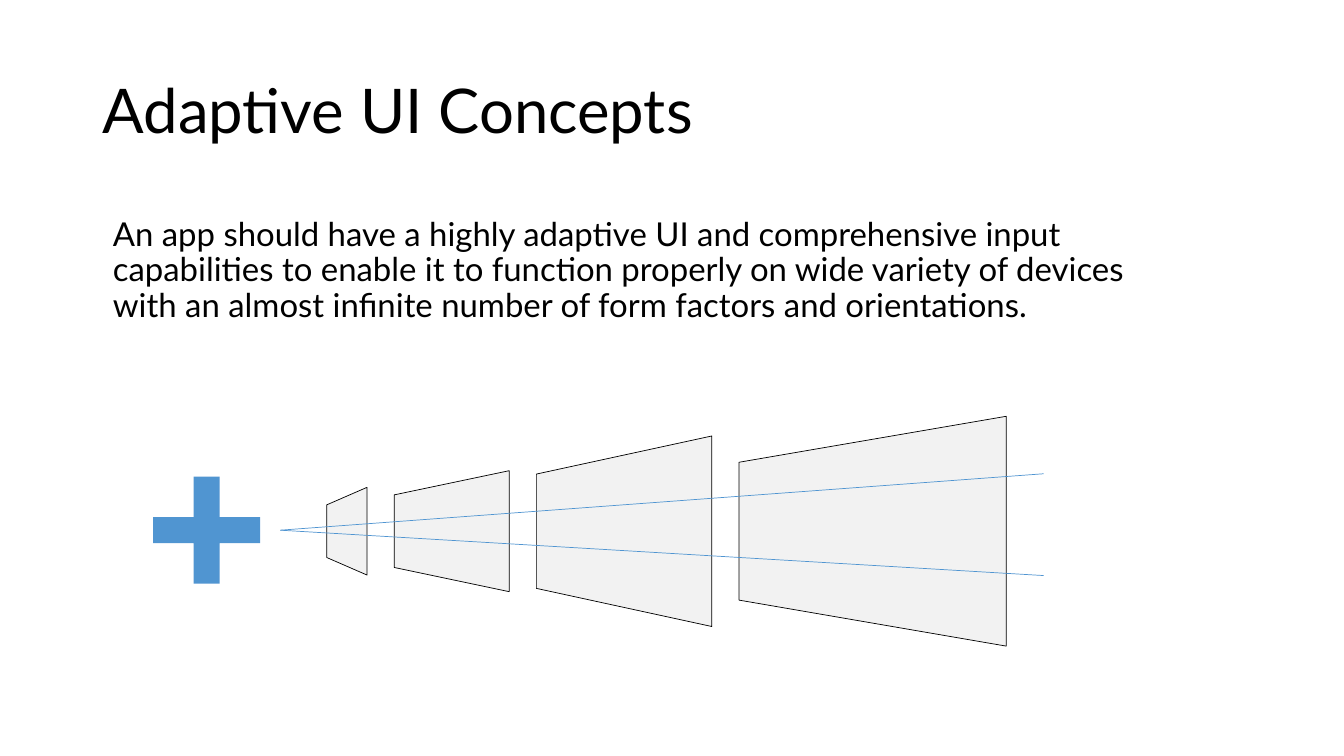
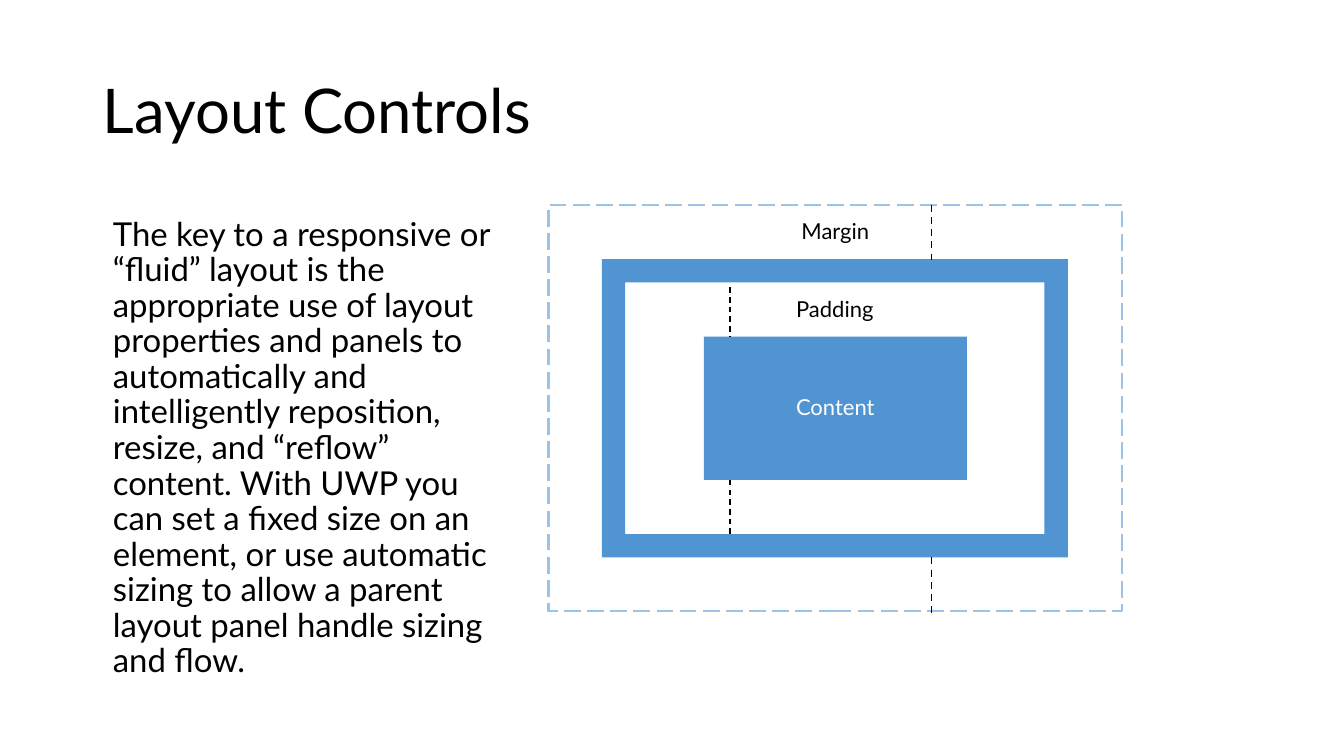
"""Builds two slides on adaptive user interfaces and layout controls."""
from lxml import etree
from pptx import Presentation
from pptx.dml.color import RGBColor
from pptx.enum.dml import MSO_LINE
from pptx.enum.shapes import MSO_CONNECTOR, MSO_SHAPE
from pptx.enum.text import MSO_ANCHOR, PP_ALIGN
from pptx.oxml.ns import qn
from pptx.util import Pt

BLACK = RGBColor(0x00, 0x00, 0x00)
WHITE = RGBColor(0xFF, 0xFF, 0xFF)
BLUE = RGBColor(0x50, 0x95, 0xD1)
PALE_BLUE = RGBColor(0x9C, 0xC3, 0xE5)
GREY = RGBColor(0xF2, 0xF2, 0xF2)
RECT, PLUS, FRAME = MSO_SHAPE.RECTANGLE, MSO_SHAPE.CROSS, MSO_SHAPE.FRAME
TRAPEZOID = MSO_SHAPE.FLOWCHART_MANUAL_OPERATION
STRAIGHT = MSO_CONNECTOR.STRAIGHT
DASH, LONG_DASH = MSO_LINE.DASH, MSO_LINE.LONG_DASH
TOP, MIDDLE = MSO_ANCHOR.TOP, MSO_ANCHOR.MIDDLE
LEFT, CENTER = PP_ALIGN.LEFT, PP_ALIGN.CENTER

FONT = "Lato"
TITLE_SIZE, BODY_SIZE, LABEL_SIZE = 44, 23.5, 15.7
TITLE_INSET, TEXT_INSET = (10, 5), (20, 16)
EMU_PER_PX = 9144


def px(*values):
    return [round(v * EMU_PER_PX) for v in values]


class Deck:
    """Holds the shared style and the slide being drawn."""

    def __init__(self):
        self.prs = Presentation()
        self.prs.slide_width, self.prs.slide_height = px(1333, 750)
        self.s = None

    def slide(self, title, body, body_width):
        self.s = self.prs.slides.add_slide(self.prs.slide_layouts[6])
        self.text(title, (92, 40, 1150, 145), TITLE_SIZE, TITLE_INSET, MIDDLE)
        self.text(body, (92, 200, body_width, 515), BODY_SIZE, TEXT_INSET, TOP)

    def set_text(self, sp, text, size, color, inset, anchor, align):
        tf = sp.text_frame
        tf.word_wrap = True
        tf.vertical_anchor = anchor
        tf.margin_left, tf.margin_top = px(*inset)
        tf.margin_right, tf.margin_bottom = px(*inset)
        p = tf.paragraphs[0]
        p.alignment = align
        p.line_spacing = 0.9
        r = p.add_run()
        r.text = text
        r.font.name = FONT
        r.font.size = Pt(size)
        r.font.color.rgb = color

    def text(self, text, box, size, inset, anchor):
        sp = self.s.shapes.add_textbox(*px(*box))
        self.set_text(sp, text, size, BLACK, inset, anchor, LEFT)

    def stroke(self, line, color, width, dash):
        line.color.rgb = color
        line.width = Pt(width)
        if dash:
            line.dash_style = dash

    def shape(self, kind, box, fill=None, line=None, width=0.5, dash=None, adj=None):
        sp = self.s.shapes.add_shape(kind, *px(*box))
        sp.shadow.inherit = False
        if fill is None:
            sp.fill.background()
        else:
            sp.fill.solid()
            sp.fill.fore_color.rgb = fill
        if line is None:
            sp.line.fill.background()
        else:
            self.stroke(sp.line, line, width, dash)
        if adj is not None:
            sp.adjustments[0] = adj
        return sp

    def label(self, sp, text, color=BLACK, anchor=TOP):
        self.set_text(sp, text, LABEL_SIZE, color, TEXT_INSET, anchor, CENTER)

    def screen(self, left, axis, width, height):
        box = (left + (width - height) / 2, axis - width / 2, height, width)
        self.shape(TRAPEZOID, box, GREY, BLACK).rotation = 90

    def line(self, start, end, color, width, dash=None):
        cn = self.s.shapes.add_connector(STRAIGHT, *px(*start, *end))
        self.stroke(cn.line, color, width, dash)
        etree.SubElement(cn._element.spPr, qn("a:effectLst"))


def adaptive_concepts(deck):
    deck.slide(
        "Adaptive UI Concepts",
        "An app should have a highly adaptive UI and comprehensive input "
        "capabilities to enable it to function properly on wide variety of "
        "devices with an almost infinite number of form factors and orientations.",
        1110)
    deck.shape(PLUS, (152, 473, 106, 106), BLUE, adj=0.378)
    left, gap, axis = 324, 27, 527
    for width, height in ((40, 87), (114, 120), (174, 189), (265, 228)):
        deck.screen(left, axis, width, height)
        left += width + gap
    for end_y in (470, 571):
        deck.line((278, 526), (1035, end_y), BLUE, 0.5)


def layout_controls(deck):
    deck.slide(
        "Layout Controls",
        "The key to a responsive or “fluid” layout is the appropriate use of "
        "layout properties and panels to automatically and intelligently "
        "reposition, resize, and “reflow” content. With UWP you can set a fixed "
        "size on an element, or use automatic sizing to allow a parent layout "
        "panel handle sizing and flow.",
        424)
    content = deck.shape(RECT, (698, 334, 261, 142), BLUE)
    deck.label(content, "Content", WHITE, MIDDLE)
    padding = deck.shape(FRAME, (597, 257, 462, 296), BLUE, adj=0.078)
    deck.label(padding, "Padding")
    margin = deck.shape(RECT, (544, 203, 569, 403), None, PALE_BLUE, 1.5, LONG_DASH)
    deck.label(margin, "Margin")
    for x, top, bottom, width in ((724, 285, 334, 1), (724, 476, 530, 1),
                                  (924, 203, 260, 1.25), (924, 553, 610, 1.25)):
        deck.line((x, top), (x, bottom), BLACK, width, DASH)


def main():
    deck = Deck()
    adaptive_concepts(deck)
    layout_controls(deck)
    deck.prs.save("out.pptx")


if __name__ == "__main__":
    main()
